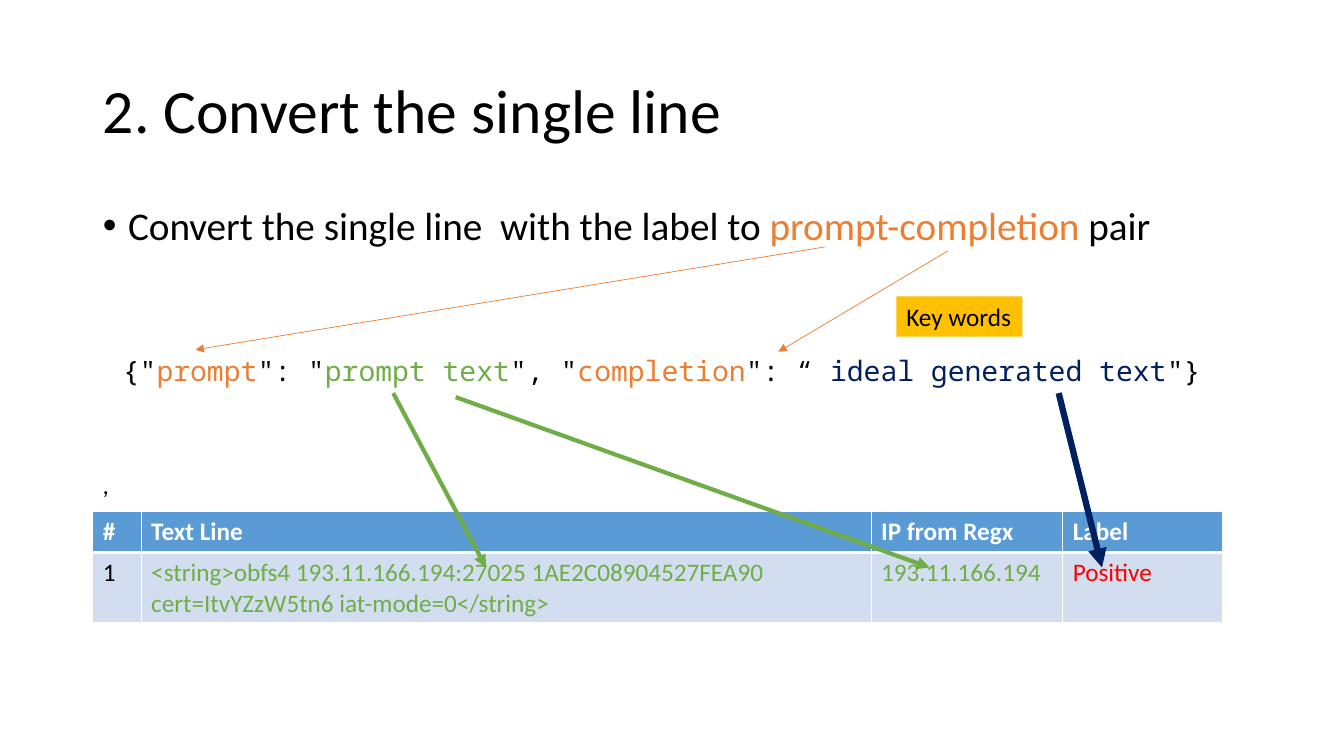
import pptx
import pptx.dml.color
import pptx.enum.shapes
import pptx.enum.text
import pptx.oxml
import pptx.oxml.ns
import pptx.util
import lxml.etree

BLACK, WHITE, ORANGE, GREEN, NAVY = "000000", "FFFFFF", "ED7D31", "70AD47", "002060"
RED, GOLD, HEADER_BLUE, ROW_BLUE = "FF0000", "FFC000", "5B9BD5", "D2DEEF"
SANS, MONO = "Calibri", "Noto Sans Mono"

TITLE = [("2. Convert the single line", BLACK)]
TASK = [
    ("Convert the single line  with the label to ", BLACK),
    ("prompt-completion", ORANGE),
    (" pair", BLACK),
]
PAIR = [
    ('{"', BLACK), ("prompt", ORANGE), ('": "', BLACK), ("prompt text", GREEN),
    ('", "', BLACK), ("completion", ORANGE), ('": “ ', BLACK),
    ("ideal generated text", NAVY), ('"}', BLACK),
]
KEY_WORDS = [("Key words", BLACK)]
COMMA = [(",", BLACK)]
COLUMNS = [
    (0.48, "#", "1", BLACK),
    (7.24, "Text Line",
     "<string>obfs4 193.11.166.194:27025 1AE2C08904527FEA90 cert=ItvYZzW5tn6 iat-mode=0</string>", GREEN),
    (1.9, "IP from Regx", "193.11.166.194", GREEN),
    (1.59, "Label", "Positive", RED),
]
ROW_HEIGHTS = [0.41, 0.7]
LEFT, WIDTH = 0.92, 11.5
PAIR_BOTTOM, DATA_TOP = 3.9, 5.63
ARROWS = [
    ((8.18, 2.45), (1.94, 3.47), ORANGE, 0.5),
    ((9.4, 2.49), (7.72, 3.49), ORANGE, 0.5),
    ((3.9, PAIR_BOTTOM), (4.82, DATA_TOP), GREEN, 3),
    ((4.52, 3.94), (9.22, DATA_TOP), GREEN, 3),
    ((10.5, PAIR_BOTTOM), (10.93, DATA_TOP), NAVY, 4.5),
]


def rgb(value):
    return pptx.dml.color.RGBColor.from_string(value)


def inches(*lengths):
    return [pptx.util.Inches(length) for length in lengths]


def child(parent, tag, **attributes):
    return lxml.etree.SubElement(parent, pptx.oxml.ns.qn(tag), attributes)


def write(frame, pieces, size, font=SANS, bold=False):
    paragraph = frame.paragraphs[0]
    paragraph.alignment = pptx.enum.text.PP_ALIGN.LEFT
    for text, color in pieces:
        run = paragraph.add_run()
        run.text = text
        run.font.size = pptx.util.Pt(size)
        run.font.name = font
        run.font.bold = bold
        run.font.color.rgb = rgb(color)
    return paragraph


def fill_placeholder(holder, box, pieces, size, anchor):
    holder.left, holder.top, holder.width, holder.height = inches(*box)
    frame = holder.text_frame
    frame.auto_size = pptx.enum.text.MSO_AUTO_SIZE.NONE
    frame.vertical_anchor = anchor
    paragraph = write(frame, pieces, size)
    paragraph.line_spacing = 0.9
    return paragraph


def add_text(slide, box, pieces, size, font=SANS):
    frame = slide.shapes.add_textbox(*inches(*box)).text_frame
    frame.word_wrap = True
    write(frame, pieces, size, font)


def add_arrow(slide, start, end, color, width):
    arrow = slide.shapes.add_connector(
        pptx.enum.shapes.MSO_CONNECTOR.STRAIGHT, *inches(*start, *end))
    arrow.line.color.rgb = rgb(color)
    arrow.line.width = pptx.util.Pt(width)
    child(arrow.line._get_or_add_ln(), "a:tailEnd", type="triangle")
    child(arrow._element.spPr, "a:effectLst")


def set_borders(cell, top, bottom):
    properties = cell._tc.get_or_add_tcPr()
    sides = [("a:lnL", 1), ("a:lnR", 1), ("a:lnT", top), ("a:lnB", bottom)]
    for position, (tag, points) in enumerate(sides):
        edge = child(properties, tag, w=str(pptx.util.Pt(points)))
        child(child(edge, "a:solidFill"), "a:srgbClr", val=WHITE)
        properties.insert(position, edge)


def add_samples(slide):
    widths = [column[0] for column in COLUMNS]
    table = slide.shapes.add_table(
        len(ROW_HEIGHTS), len(COLUMNS),
        *inches(LEFT, 5.07, sum(widths), sum(ROW_HEIGHTS))).table
    for row, height in zip(table.rows, ROW_HEIGHTS):
        row.height = pptx.util.Inches(height)
    for index, (width, heading, value, color) in enumerate(COLUMNS):
        table.columns[index].width = pptx.util.Inches(width)
        rows = [(heading, WHITE, HEADER_BLUE, True, 1, 3),
                (value, color, ROW_BLUE, False, 3, 1)]
        for number, (text, ink, background, bold, top, bottom) in enumerate(rows):
            cell = table.cell(number, index)
            cell.fill.solid()
            cell.fill.fore_color.rgb = rgb(background)
            write(cell.text_frame, [(text, ink)], 18, bold=bold)
            set_borders(cell, top, bottom)


def add_key_words(slide):
    tag = slide.shapes.add_shape(
        pptx.enum.shapes.MSO_SHAPE.RECTANGLE, *inches(8.89, 2.94, 1.25, 0.4))
    tag.shadow.inherit = False
    tag.fill.solid()
    tag.fill.fore_color.rgb = rgb(GOLD)
    tag.line.fill.background()
    tag.text_frame.word_wrap = False
    write(tag.text_frame, KEY_WORDS, 18)


def main():
    deck = pptx.Presentation()
    deck.slide_width, deck.slide_height = inches(13.33, 7.5)
    slide = deck.slides.add_slide(deck.slide_layouts[1])
    anchors = pptx.enum.text.MSO_ANCHOR
    fill_placeholder(slide.shapes.title, (LEFT, 0.4, WIDTH, 1.45), TITLE, 44, anchors.MIDDLE)
    task = fill_placeholder(slide.placeholders[1], (LEFT, 2, WIDTH, 0.89), TASK, 28, anchors.TOP)
    task.space_before = pptx.util.Pt(10)
    bullet = task._p.get_or_add_pPr()
    indent = pptx.util.Inches(0.25)
    bullet.set("marL", str(indent))
    bullet.set("indent", str(-indent))
    child(bullet, "a:buFont", typeface="Arial")
    child(bullet, "a:buChar", char="•")

    add_text(slide, (LEFT, 4.61, 10.76, 0.4), COMMA, 18)
    add_samples(slide)
    add_key_words(slide)
    for arrow in ARROWS:
        add_arrow(slide, *arrow)
    add_text(slide, (1.12, 3.46, 10.95, 0.44), PAIR, 20, MONO)
    deck.save("out.pptx")


if __name__ == "__main__":
    main()
